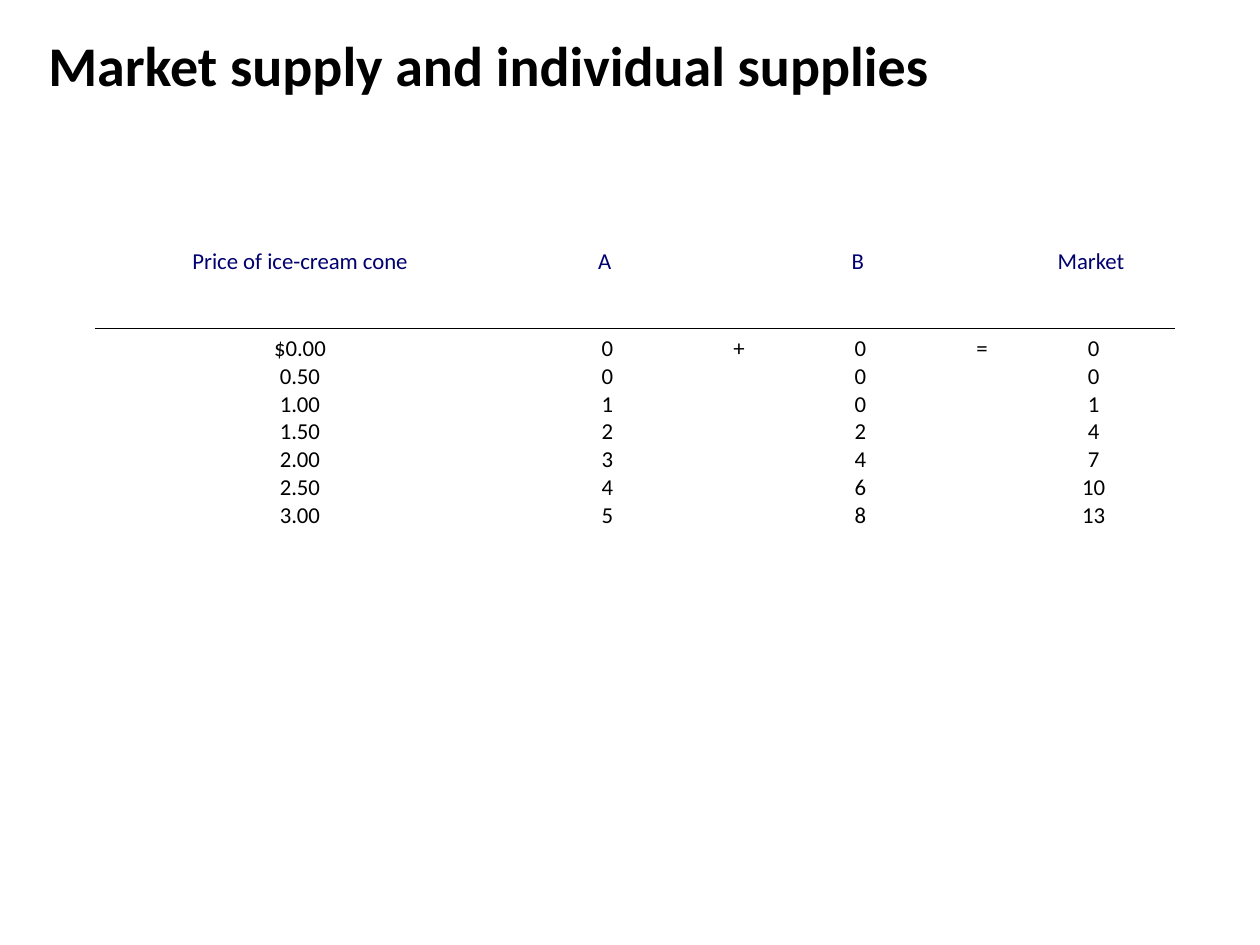
import pptx
import pptx.dml.color
import pptx.enum.text
import pptx.oxml
import pptx.oxml.ns
import pptx.util
from pptx.util import Inches

# Content
TITLE = "Market supply and individual supplies"
HEADS = ["Price of ice-cream cone", "A ", "", "B ", "", "Market "]
BODY = [
    ["$0.00", "0.50", "1.00", "1.50", "2.00", "2.50", "3.00"],
    ["0", "0", "1", "2", "3", "4", "5"],
    ["+"],
    ["0", "0", "0", "2", "4", "6", "8"],
    ["="],
    ["0", "0", "1", "4", "7", "10", "13"],
]

# Layout and formats
WIDTHS = [3.26, 1.62, 0.47, 1.46, 0.47, 1.3]
HEIGHTS = [0.69, 3.73]
LEFT, TOP = 0.75, 1.92
BLACK, NAVY = "000000", "000070"
BIG = {"name": "Calibri", "size": pptx.util.Pt(32), "bold": True}
SMALL = {"name": "Calibri", "size": pptx.util.Pt(13), "bold": False}
PLAIN = "{2D5ABB26-0587-4C30-8999-92F81FD0307C}"  # no style, no grid


def tint(font, code):
    font.color.rgb = pptx.dml.color.RGBColor.from_string(code)


def write(frame, lines, form, code):
    frame.text = "\n".join(lines)
    for para in frame.paragraphs:
        para.alignment = pptx.enum.text.PP_ALIGN.CENTER
        for run in para.runs:
            for key, value in form.items():
                setattr(run.font, key, value)
            tint(run.font, code)


def rule(cell, side):
    line = pptx.oxml.parse_xml(
        f'<a:ln{side} {pptx.oxml.ns.nsdecls("a")} w="{int(pptx.util.Pt(0.45))}">'
        f'<a:solidFill><a:srgbClr val="{BLACK}"/></a:solidFill></a:ln{side}>'
    )
    cell._tc.get_or_add_tcPr().append(line)


def main():
    deck = pptx.Presentation()
    deck.slide_width, deck.slide_height = Inches(10), Inches(7.5)
    slide = deck.slides.add_slide(deck.slide_layouts[5])

    # Title
    title = slide.shapes.title
    title.left, title.top = Inches(0.17), Inches(0.25)
    title.width, title.height = Inches(7.42), Inches(0.83)
    frame = title.text_frame
    write(frame, [TITLE], BIG, BLACK)
    frame.vertical_anchor = pptx.enum.text.MSO_ANCHOR.TOP
    frame.auto_size = pptx.enum.text.MSO_AUTO_SIZE.NONE
    frame.paragraphs[0].line_spacing = 0.9

    # Supply table
    shape = slide.shapes.add_table(
        len(HEIGHTS), len(WIDTHS), Inches(LEFT), Inches(TOP),
        Inches(sum(WIDTHS)), Inches(sum(HEIGHTS)))
    table = shape.table
    table.first_row = table.horz_banding = False
    table._tbl.tblPr.find(pptx.oxml.ns.qn("a:tableStyleId")).text = PLAIN
    for row, high in zip(table.rows, HEIGHTS):
        row.height = Inches(high)
    for col, wide in enumerate(WIDTHS):
        table.columns[col].width = Inches(wide)
        parts = [([HEADS[col]], NAVY, "B"), (BODY[col], BLACK, "T")]
        for row, (lines, code, side) in enumerate(parts):
            cell = table.cell(row, col)
            write(cell.text_frame, lines, SMALL, code)
            rule(cell, side)
            cell.fill.background()

    deck.save("out.pptx")


if __name__ == "__main__":
    main()
